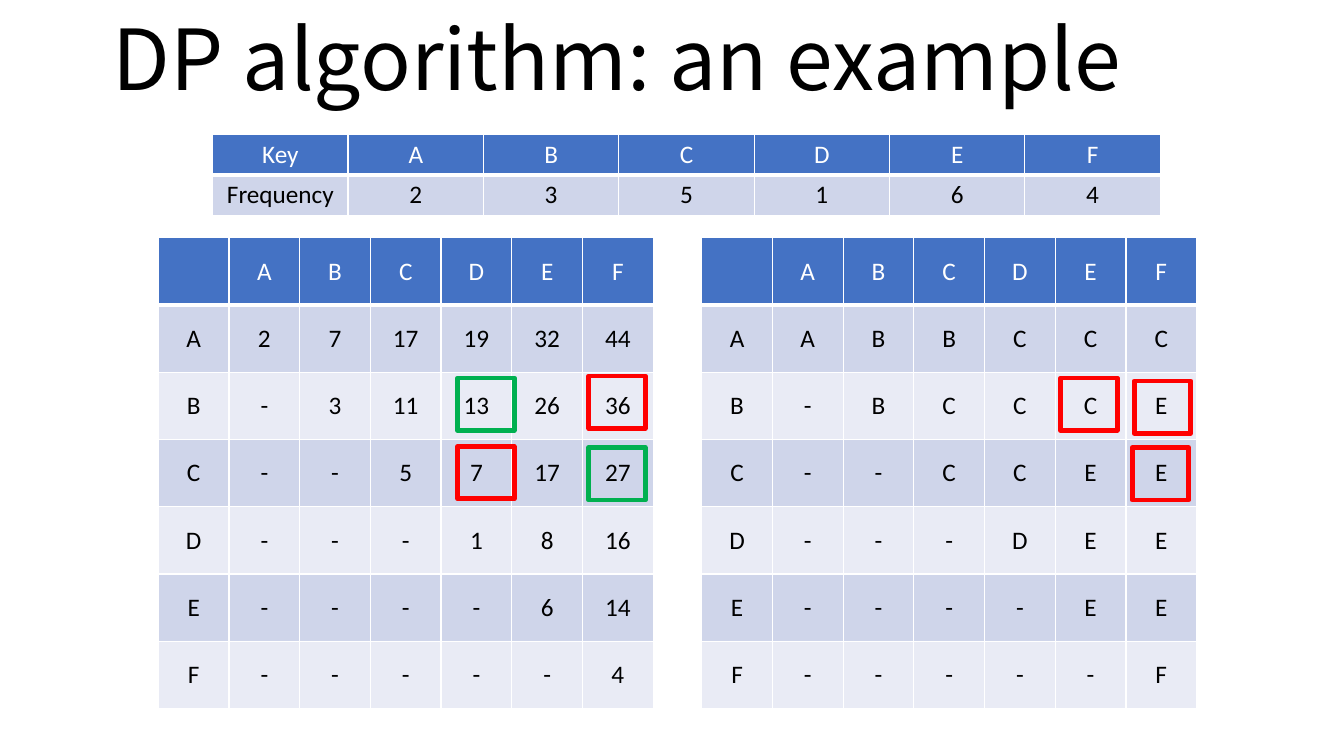
from lxml import etree
from pptx import Presentation
from pptx.dml.color import RGBColor
from pptx.enum import shapes, text
from pptx.oxml import ns
from pptx.util import Inches, Pt

BLACK = RGBColor(0, 0, 0)
WHITE = RGBColor(255, 255, 255)
BLUE = RGBColor(0x44, 0x72, 0xC4)
BAND_DARK = RGBColor(0xCF, 0xD5, 0xEA)
BAND_LIGHT = RGBColor(0xE9, 0xEB, 0xF5)
RED = RGBColor(255, 0, 0)
GREEN = RGBColor(0, 0xB0, 0x50)

KEYS = "ABCDEF"
FREQUENCIES = "2 3 5 1 6 4"
COSTS = [
    "2 7 17 19 32 44",
    "- 3 11 13 26 36",
    "- - 5 7 17 27",
    "- - - 1 8 16",
    "- - - - 6 14",
    "- - - - - 4",
]
ROOTS = [
    "A B B C C C",
    "- B C C C E",
    "- - C C E E",
    "- - - D E E",
    "- - - - E E",
    "- - - - - F",
]
MARKS = [
    (10.52, 3.75, RED),
    (11.25, 3.78, RED),
    (11.23, 4.44, RED),
    (4.54, 3.75, GREEN),
    (5.84, 4.44, GREEN),
    (4.54, 4.43, RED),
    (5.84, 3.73, RED),
]


def write(tf, content, size=18, font="Calibri", color=BLACK, spacing=None):
    p = tf.paragraphs[0]
    p.alignment = text.PP_ALIGN.CENTER
    p.line_spacing = spacing
    if not content:
        return
    r = p.add_run()
    r.text = content
    r.font.size = Pt(size)
    r.font.name = font
    r.font.color.rgb = color


def set_borders(cell, bottom):
    tcPr = cell._tc.get_or_add_tcPr()
    for side, width in (("L", 1), ("R", 1), ("T", 1), ("B", bottom)):
        ln = etree.SubElement(tcPr, ns.qn(f"a:ln{side}"), w=str(Pt(width)))
        fill = etree.SubElement(ln, ns.qn("a:solidFill"))
        etree.SubElement(fill, ns.qn("a:srgbClr"), val=str(WHITE))


class Deck:
    def __init__(self):
        self.prs = Presentation()
        self.prs.slide_width = Inches(13.33)
        self.prs.slide_height = Inches(7.5)
        self.s = self.prs.slides.add_slide(self.prs.slide_layouts[6])

    def title(self, content, x, y, w, h):
        sp = self.s.shapes.add_textbox(Inches(x), Inches(y), Inches(w), Inches(h))
        tf = sp.text_frame
        tf.word_wrap = True
        tf.vertical_anchor = text.MSO_ANCHOR.BOTTOM
        write(tf, content, size=60, font="Noto Sans CJK SC", spacing=0.8)

    def table(self, rows, x, y, w, h, anchor=None):
        frame = self.s.shapes.add_table(
            len(rows), len(rows[0]), Inches(x), Inches(y), Inches(w), Inches(h)
        )
        for i, row in enumerate(rows):
            for j, value in enumerate(row):
                cell = frame.table.cell(i, j)
                cell.vertical_anchor = anchor
                set_borders(cell, bottom=1 if i else 3)
                cell.fill.solid()
                band = BAND_DARK if i % 2 else BAND_LIGHT
                cell.fill.fore_color.rgb = band if i else BLUE
                write(cell.text_frame, value, color=BLACK if i else WHITE)

    def matrix(self, lines, x):
        rows = [["", *KEYS]]
        rows += [[key, *line.split()] for key, line in zip(KEYS, lines)]
        self.table(rows, x, 2.36, 4.91, 4.67, anchor=text.MSO_ANCHOR.MIDDLE)

    def mark(self, x, y, color):
        sp = self.s.shapes.add_shape(
            shapes.MSO_SHAPE.RECTANGLE, Inches(x), Inches(y), Inches(0.56), Inches(0.52)
        )
        sp.shadow.inherit = False
        sp.fill.background()
        sp.line.color.rgb = color
        sp.line.width = Pt(3.5)


def main():
    deck = Deck()
    deck.matrix(COSTS, 1.57)
    deck.table(
        [["Key", *KEYS], ["Frequency", *FREQUENCIES.split()]], 2.11, 1.33, 9.4, 0.81
    )
    deck.matrix(ROOTS, 6.96)
    deck.title("DP algorithm: an example", 0.37, 0.15, 11.5, 0.96)
    for x, y, color in MARKS:
        deck.mark(x, y, color)
    deck.prs.save("out.pptx")


if __name__ == "__main__":
    main()
